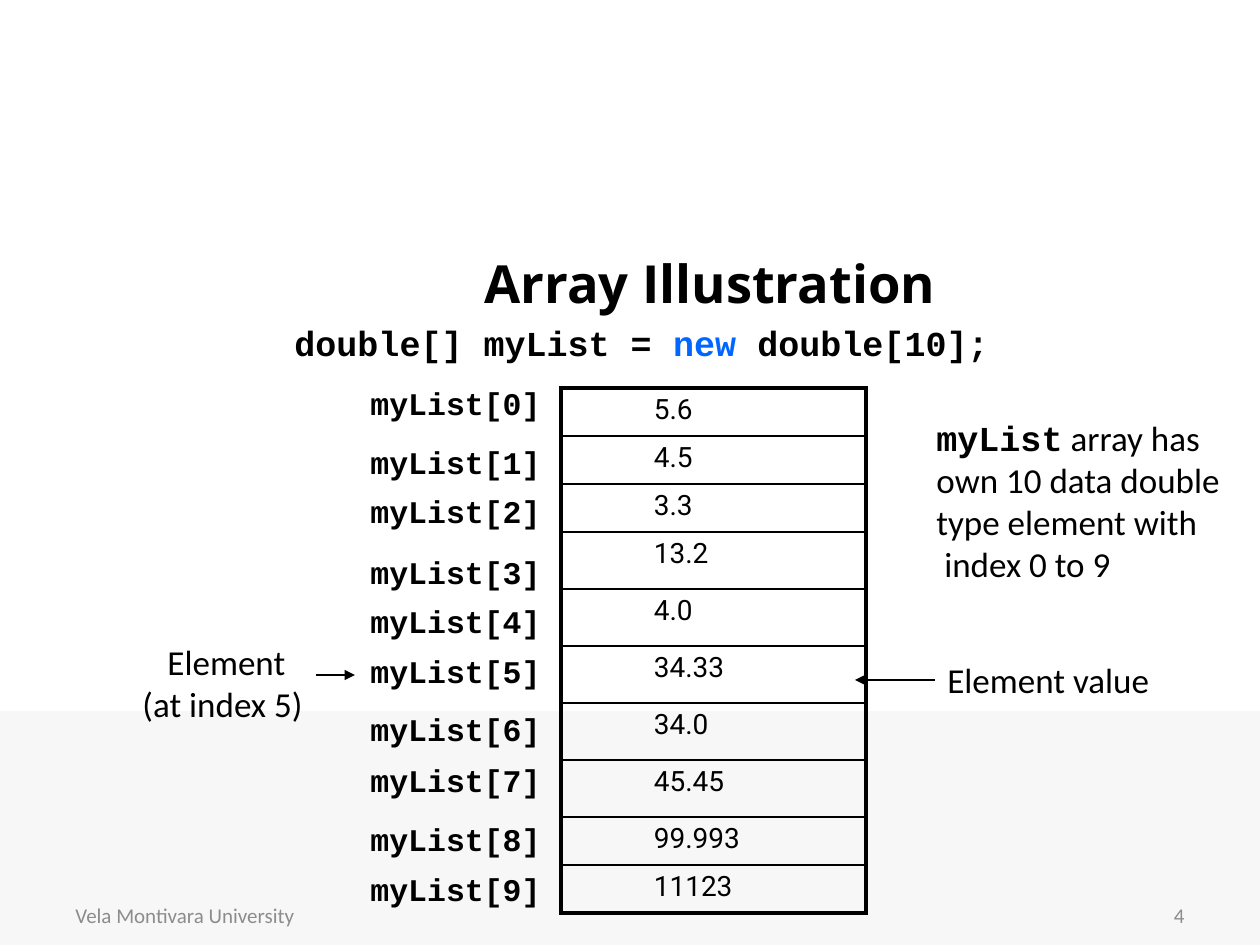
"""Build a slide that illustrates a ten-element array and its indexes."""
import lxml.etree
import pptx
import pptx.dml.color
import pptx.enum.shapes
import pptx.enum.text
import pptx.oxml
import pptx.oxml.ns
import pptx.util

PX = 914400 / 126
ALIGN = pptx.enum.text.PP_ALIGN
ANCHOR = pptx.enum.text.MSO_ANCHOR
FIT = pptx.enum.text.MSO_AUTO_SIZE
BLACK = "000000"


def area(*lengths):
    return [pptx.util.Emu(round(length * PX)) for length in lengths]


def style(font, name, size, color=BLACK, bold=False):
    font.name = name
    font.size = pptx.util.Pt(size)
    font.bold = bold
    font.color.rgb = pptx.dml.color.RGBColor.from_string(color)


deck = pptx.Presentation()
deck.slide_width, deck.slide_height = area(1260, 945)
page = deck.slides.add_slide(deck.slide_layouts[5])

band = page.shapes.add_shape(
    pptx.enum.shapes.MSO_SHAPE.RECTANGLE, *area(0, 711, 1260, 234))
band.shadow.inherit = False
band.fill.solid()
band.fill.fore_color.rgb = pptx.dml.color.RGBColor.from_string("F7F7F7")
band.line.fill.background()

title = page.shapes.title
title.left, title.top, title.width, title.height = area(223, 204, 974, 158)
title.text_frame.text = "Array Illustration"
title.text_frame.vertical_anchor = ANCHOR.MIDDLE
para = title.text_frame.paragraphs[0]
para.alignment = ALIGN.CENTER
style(para.font, "Open Sans", 30, bold=True)

values = ["5.6", "4.5", "3.3", "13.2", "4.0", "34.33", "34.0", "45.45", "99.993", "11123"]
heights = [48] * 3 + [57] * 5 + [48] * 2
table = page.shapes.add_table(len(values), 1, *area(561, 388, 305, sum(heights))).table
table.first_row = False
table.horz_banding = False
for index, (value, height) in enumerate(zip(values, heights)):
    table.rows[index].height = area(height)[0]
    cell = table.cell(index, 0)
    cell.text = value
    cell.margin_left, cell.margin_right, cell.margin_top, cell.margin_bottom = area(93, 93, 6, 6)
    cell.fill.background()
    style(cell.text_frame.paragraphs[0].font, "Roboto", 16)
    top = 2.25 if index == 0 else 1
    bottom = 2.25 if index == len(values) - 1 else 1
    properties = cell._tc.get_or_add_tcPr()
    for place, (side, width) in enumerate([("L", 2.25), ("R", 2.25), ("T", top), ("B", bottom)]):
        border = pptx.oxml.parse_xml(
            f'<a:ln{side} xmlns:a="http://schemas.openxmlformats.org/drawingml/2006/main" '
            f'w="{pptx.util.Pt(width)}"><a:solidFill><a:srgbClr val="{BLACK}"/>'
            f'</a:solidFill></a:ln{side}>')
        properties.insert(place, border)

for left, text, alignment in [
    (63, "Vela Montivara University", ALIGN.LEFT),
    (903, "4", ALIGN.RIGHT),
]:
    box = page.shapes.add_textbox(*area(left, 890, 294, 50))
    box.text_frame.word_wrap = True
    box.text_frame.vertical_anchor = ANCHOR.MIDDLE
    para = box.text_frame.paragraphs[0]
    para.text = text
    para.alignment = alignment
    style(para.font, "Calibri", 12, "8C8C8C")

code = ("Courier New", 20, BLACK, True)
keyword = ("Courier New", 20, "0066FF", True)
label = ("Courier New", 18, BLACK, True)
prose = ("Calibri", 20)
label_tops = [378, 437, 486, 547, 596, 646, 704, 755, 814, 864]
notes = [
    ((282, 315, 726, 55), False, ALIGN.LEFT,
     [[("double[] myList = ", code), ("new", keyword), (" double[10];", code)]]),
    ((924, 410, 336, 183), True, ALIGN.LEFT,
     [[("myList", code), (" array has own 10 data double type element with", prose)],
      [(" index 0 to 9", prose)]]),
    ((126, 634, 193, 97), True, ALIGN.CENTER, [[(" Element (at index 5)", prose)]]),
]
for index, top in enumerate(label_tops):
    notes.append(((358, top, 197, 50), False, ALIGN.LEFT, [[(f"myList[{index}]", label)]]))
notes.append(((935, 652, 229, 56), False, ALIGN.LEFT, [[("Element value", prose)]]))

for place, wrap, alignment, lines in notes:
    box = page.shapes.add_textbox(*area(*place))
    frame = box.text_frame
    frame.word_wrap = wrap
    frame.auto_size = FIT.SHAPE_TO_FIT_TEXT
    for number, line in enumerate(lines):
        para = frame.add_paragraph() if number else frame.paragraphs[0]
        para.alignment = alignment
        for text, look in line:
            span = para.add_run()
            span.text = text
            style(span.font, *look)
value_box = box

for ends, source in [((935, 680, 855, 680), value_box), ((316, 675, 355, 675), None)]:
    arrow = page.shapes.add_connector(pptx.enum.shapes.MSO_CONNECTOR.STRAIGHT, *area(*ends))
    if source is not None:
        arrow.begin_connect(source, 1)
    arrow.line.width = pptx.util.Pt(0.75)
    arrow.line.color.rgb = pptx.dml.color.RGBColor.from_string(BLACK)
    head = lxml.etree.SubElement(arrow.line._get_or_add_ln(), pptx.oxml.ns.qn("a:tailEnd"))
    head.set("type", "triangle")
    lxml.etree.SubElement(arrow._element.spPr, pptx.oxml.ns.qn("a:effectLst"))

deck.save("out.pptx")
